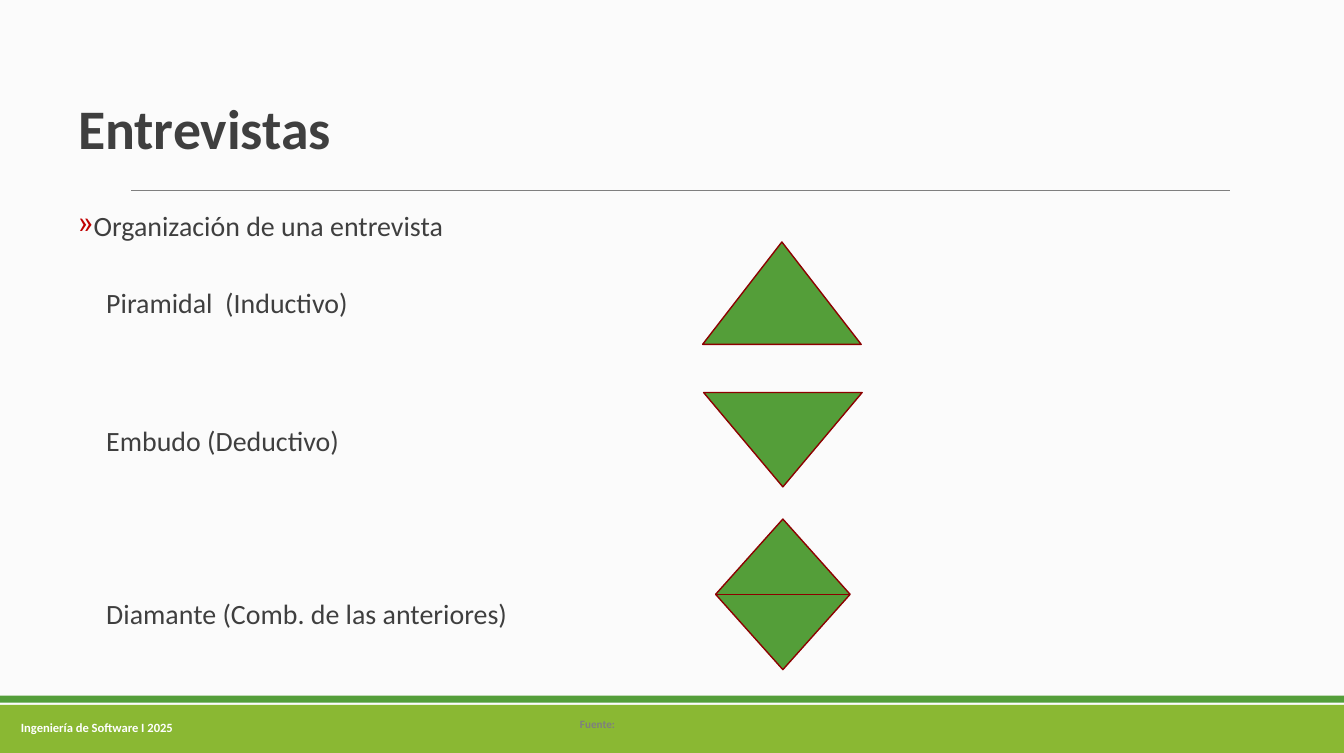
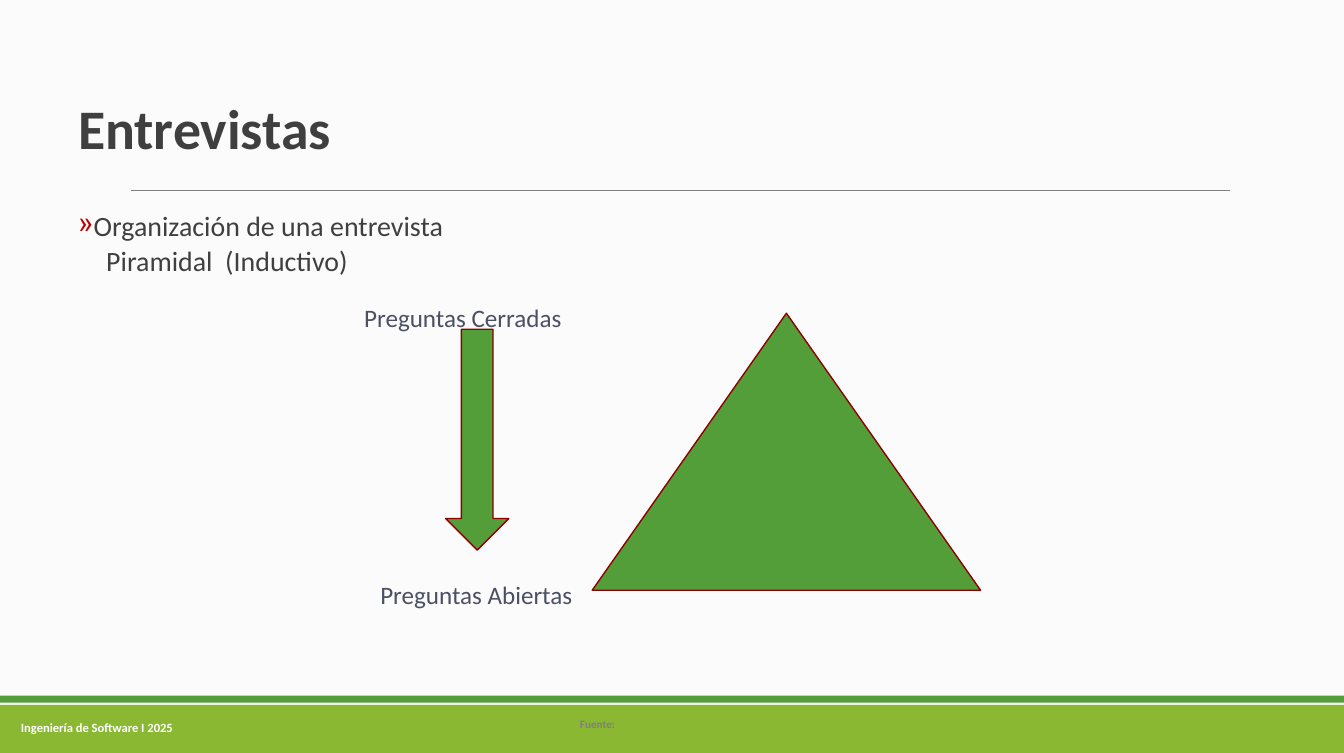
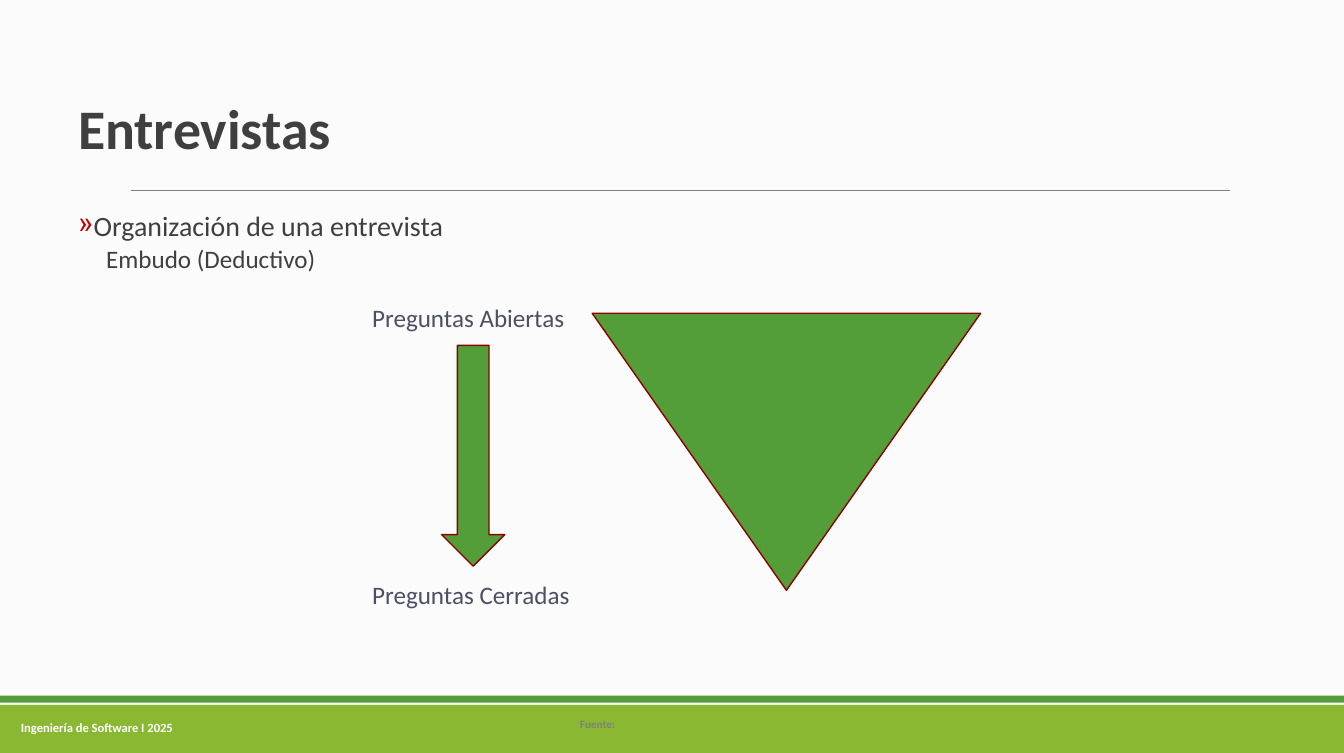
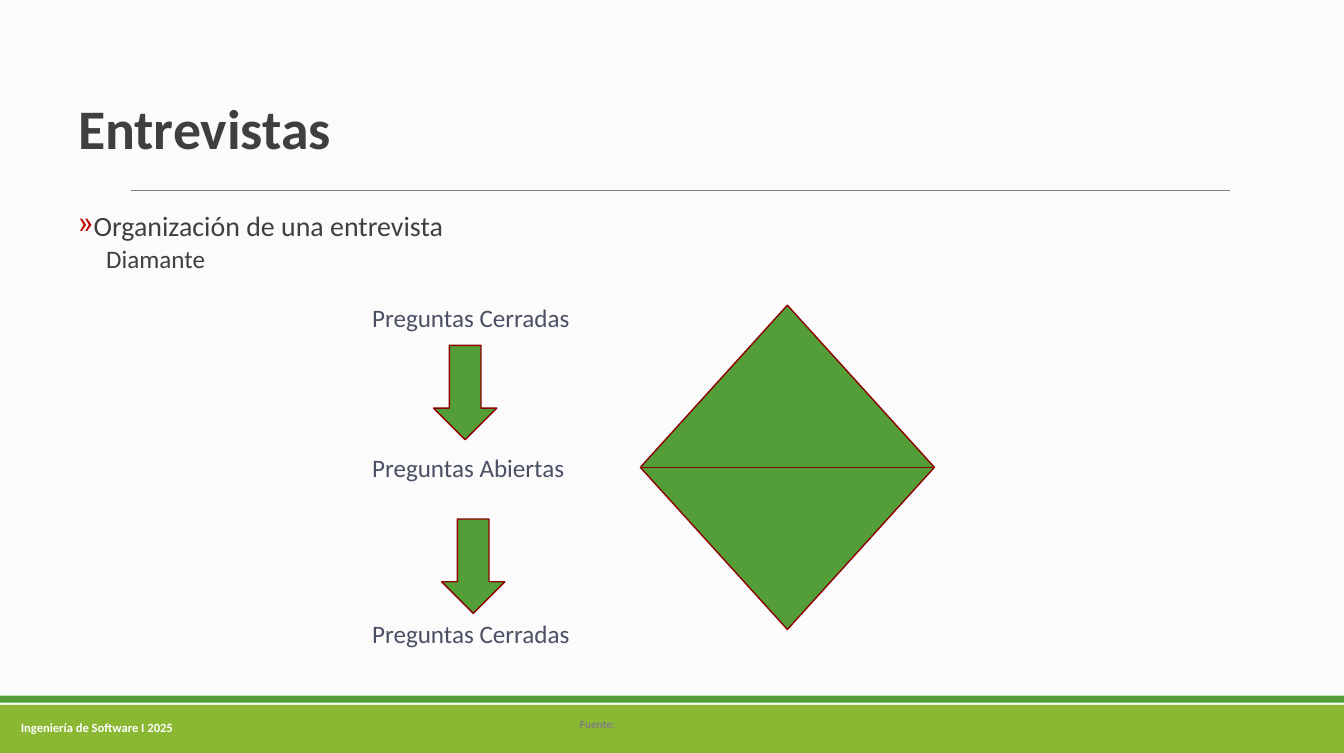
from lxml import etree
from pptx import Presentation
from pptx.dml.color import RGBColor
from pptx.enum import shapes, text
from pptx.oxml.ns import qn
from pptx.util import Inches, Pt

FONT = "Calibri"
PAPER = RGBColor(0xFB, 0xFB, 0xFB)
WHITE = RGBColor(0xFF, 0xFF, 0xFF)
LIME = RGBColor(0x8A, 0xB8, 0x33)
GREEN = RGBColor(0x54, 0x9E, 0x39)
MAROON = RGBColor(0x8C, 0x00, 0x00)
GRAY = RGBColor(0x7F, 0x7F, 0x7F)
DARK = RGBColor(0x3F, 0x3F, 0x3F)
SLATE = RGBColor(0x4B, 0x50, 0x64)

FORMATS = {
    "title": {"size": Pt(40), "bold": True, "color": DARK},
    "body": {"size": Pt(20), "color": DARK},
    "sub": {"size": Pt(18), "color": DARK},
    "label": {"size": Pt(18), "color": SLATE},
    "footer": {"size": Pt(9), "bold": True, "color": WHITE},
    "credit": {"size": Pt(8), "bold": True, "color": GRAY},
}

SHAPE = shapes.MSO_SHAPE
CLOSED = "Preguntas Cerradas"
OPEN = "Preguntas Abiertas"


class Deck:
    def __init__(self):
        self.prs = Presentation()
        self.prs.slide_width = Inches(13.39)
        self.prs.slide_height = Inches(7.5)

    def new_slide(self, title):
        self.s = self.prs.slides.add_slide(self.prs.slide_layouts[6])
        fill = self.s.background.fill
        fill.solid()
        fill.fore_color.rgb = PAPER
        self.shape(SHAPE.RECTANGLE, 0, 7.02, 13.39, 0.48, LIME)
        self.shape(SHAPE.RECTANGLE, 0, 6.93, 13.39, 0.07)
        self.line(1.31, 12.25, 1.9)
        self.text("Ingeniería de Software I 2025", 0.11, 7.05, 3, 0.4, "footer", middle=True)
        self.text("Fuente:", 5.68, 7.01, 2, 0.4, "credit", middle=True)
        tf = self.text(title, 0.68, 0.7, 11.83, 1.24, "title", middle=True)
        tf.paragraphs[0].line_spacing = 0.85

    def shape(self, kind, x, y, w, h, color=GREEN, line=None, rotation=0):
        sp = self.s.shapes.add_shape(kind, Inches(x), Inches(y), Inches(w), Inches(h))
        sp.shadow.inherit = False
        sp.rotation = rotation
        sp.fill.solid()
        sp.fill.fore_color.rgb = color
        if line is None:
            sp.line.fill.background()
        else:
            sp.line.color.rgb = line
            sp.line.width = Pt(1)

    def figure(self, kind, x, y, w, h, rotation=0):
        self.shape(kind, x, y, w, h, line=MAROON, rotation=rotation)

    def arrow(self, x, y, h):
        self.figure(SHAPE.DOWN_ARROW, x, y, 0.63, h)

    def line(self, x1, x2, y):
        cx = self.s.shapes.add_connector(
            shapes.MSO_CONNECTOR.STRAIGHT, Inches(x1), Inches(y), Inches(x2), Inches(y))
        cx.line.color.rgb = GRAY
        cx.line.width = Pt(0.75)
        etree.SubElement(cx._element.spPr, qn("a:effectLst"))

    def run(self, p, words, style):
        r = p.add_run()
        r.text = words
        r.font.name = FONT
        for name, value in FORMATS[style].items():
            if name == "color":
                r.font.color.rgb = value
            else:
                setattr(r.font, name, value)

    def text(self, words, x, y, w, h, style, middle=False):
        tf = self.s.shapes.add_textbox(Inches(x), Inches(y), Inches(w), Inches(h)).text_frame
        tf.word_wrap = True
        if middle:
            tf.vertical_anchor = text.MSO_ANCHOR.MIDDLE
        self.run(tf.paragraphs[0], words, style)
        return tf

    def label(self, words, x, y):
        self.text(words, x, y, 2.25, 0.4, "label")

    def body(self, heading, items, style="body"):
        tf = self.text(heading, 0.68, 2.08, 10.75, 4.8, "body")
        p = tf.paragraphs[0]
        p.line_spacing = 0.85
        pPr = self.indent(p, 0.07, -0.14)
        color = etree.SubElement(pPr, qn("a:buClr"))
        etree.SubElement(color, qn("a:srgbClr"), val="C00000")
        etree.SubElement(pPr, qn("a:buChar"), char="»")
        for words, space in items:
            p = tf.add_paragraph()
            p.line_spacing = 0.85
            p.space_before = Pt(space)
            self.indent(p, 0.28, 0)
            self.run(p, words, style)

    def indent(self, p, left, first):
        pPr = p._p.get_or_add_pPr()
        pPr.set("marL", str(Inches(left)))
        pPr.set("indent", str(Inches(first)))
        return pPr


def main():
    deck = Deck()
    title, heading = "Entrevistas", "Organización de una entrevista"
    pyramid, funnel = "Piramidal  (Inductivo)", "Embudo (Deductivo)"

    deck.new_slide(title)
    deck.body(heading, [(pyramid, 34.5), (funnel, 79),
                        ("Diamante (Comb. de las anteriores)", 103.3)])
    deck.figure(SHAPE.ISOSCELES_TRIANGLE, 7, 2.41, 1.58, 1.02)
    deck.figure(SHAPE.FLOWCHART_MERGE, 7.01, 3.91, 1.58, 0.94)
    deck.figure(SHAPE.FLOWCHART_SORT, 7.13, 5.17, 1.34, 1.5)

    deck.new_slide(title)
    deck.body(heading, [(pyramid, 4.5)])
    deck.figure(SHAPE.ISOSCELES_TRIANGLE, 5.9, 3.12, 3.87, 2.76)
    deck.label(CLOSED, 3.53, 2.96)
    deck.label(OPEN, 3.69, 5.72)
    deck.arrow(4.44, 3.28, 2.2)

    deck.new_slide(title)
    deck.body(heading, [(funnel, 4.5)], "sub")
    deck.figure(SHAPE.ISOSCELES_TRIANGLE, 5.9, 3.12, 3.87, 2.76, rotation=180)
    deck.label(OPEN, 3.61, 2.96)
    deck.label(CLOSED, 3.61, 5.72)
    deck.arrow(4.4, 3.44, 2.2)

    deck.new_slide(title)
    deck.body(heading, [("Diamante", 4.5)], "sub")
    deck.figure(SHAPE.FLOWCHART_SORT, 6.38, 3.04, 2.93, 3.23)
    for words, y in ((CLOSED, 2.96), (OPEN, 4.46), (CLOSED, 6.11)):
        deck.label(words, 3.61, y)
    for x, y in ((4.32, 3.44), (4.4, 5.17)):
        deck.arrow(x, y, 0.94)

    deck.prs.save("out.pptx")


if __name__ == "__main__":
    main()
